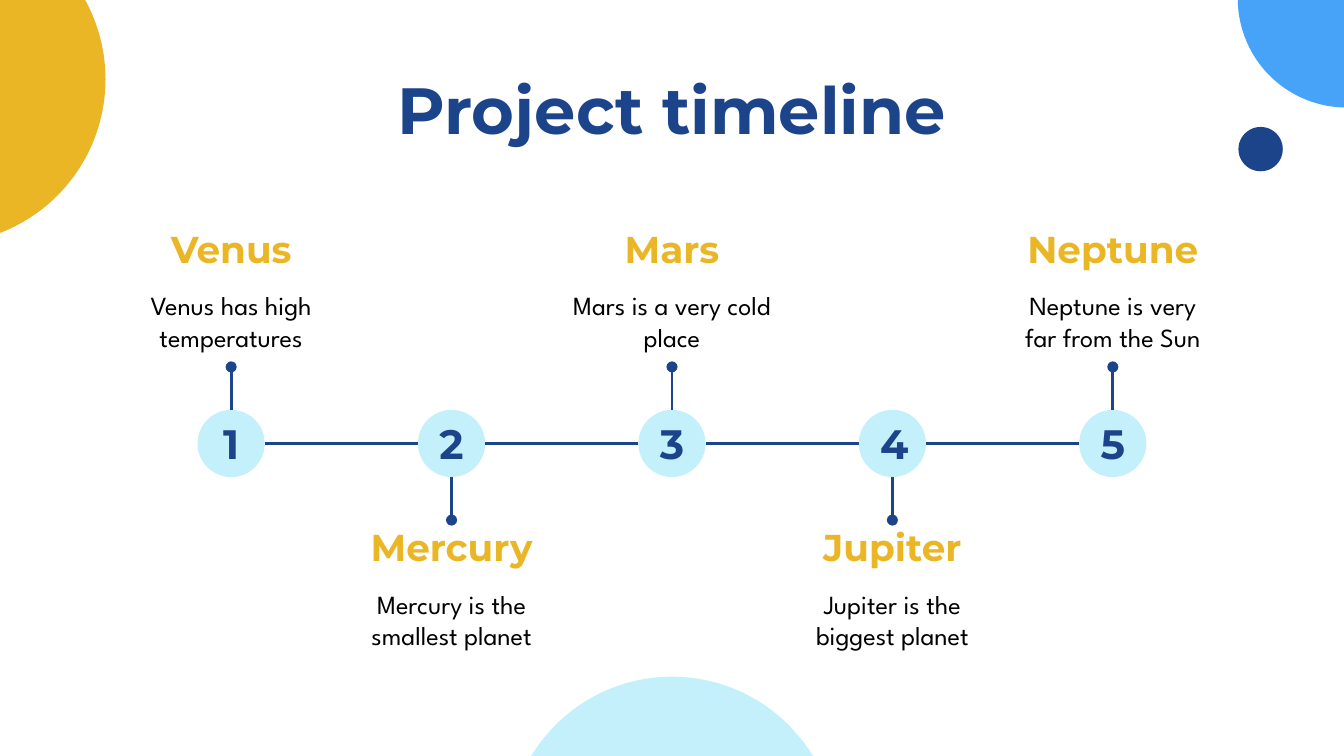
from lxml import etree
from pptx import Presentation
from pptx.dml.color import RGBColor
from pptx.enum.shapes import MSO_CONNECTOR, MSO_SHAPE
from pptx.enum.text import MSO_ANCHOR, PP_ALIGN
from pptx.oxml.ns import qn
from pptx.util import Inches, Pt

OVAL, PIE = MSO_SHAPE.OVAL, MSO_SHAPE.PIE
STRAIGHT = MSO_CONNECTOR.STRAIGHT
MIDDLE, CENTER = MSO_ANCHOR.MIDDLE, PP_ALIGN.CENTER

HEADING = "Project timeline"
MILESTONES = [
    ("Venus", "Venus has high temperatures"),
    ("Mercury", "Mercury is the smallest planet"),
    ("Mars", "Mars is a very cold place"),
    ("Jupiter", "Jupiter is the biggest planet"),
    ("Neptune", "Neptune is very far from the Sun"),
]
COLORS = {"navy": "1C448A", "gold": "EAB625", "sky": "47A3F7",
          "cyan": "4CD2F8", "black": "000000"}
DISPLAY, BODY = "Montserrat", "League Spartan"

WIDTH = 10
HEIGHT = WIDTH * 9 / 16
COLUMN = 1.64
AXIS = 3.3
RADIUS = 0.25
STEM = 0.32
LABEL_WIDTH, NAME_HEIGHT, FACT_HEIGHT = 1.68, 0.4, 0.68
NUMBER_WIDTH, NUMBER_HEIGHT = 0.38, 0.28
CYAN_OPACITY = 33

DECORATIONS = [
    (OVAL, WIDTH / 2, 6.26, 2.45, "cyan"),
    (PIE, 10.02, -0.01, 1.62, "sky"),
    (OVAL, -0.44, 0.59, 2.45, "gold"),
    (OVAL, 9.38, 1.11, 0.33, "navy"),
]

deck = Presentation()
deck.slide_width, deck.slide_height = Inches(WIDTH), Inches(HEIGHT)
slide = deck.slides.add_slide(deck.slide_layouts[6])


def rgb(name):
    return RGBColor.from_string(COLORS[name])


def add_disc(kind, x, y, size, color):
    disc = slide.shapes.add_shape(kind, Inches(x - size / 2), Inches(y - size / 2),
                                  Inches(size), Inches(size))
    disc.shadow.inherit = False
    disc.fill.solid()
    disc.fill.fore_color.rgb = rgb(color)
    disc.line.fill.background()
    if color == "cyan":
        tint = disc._element.spPr.find(qn("a:solidFill"))[0]
        etree.SubElement(tint, qn("a:alpha"), val=str(CYAN_OPACITY * 1000))
    if kind == PIE:
        disc.adjustments[0], disc.adjustments[1] = 54, 108


def add_line(x1, y1, x2, y2, dotted=False):
    line = slide.shapes.add_connector(STRAIGHT, Inches(x1), Inches(y1),
                                      Inches(x2), Inches(y2))
    line.line.color.rgb = rgb("navy")
    line.line.width = Pt(1.5)
    if dotted:
        outline = line._element.spPr.find(qn("a:ln"))
        etree.SubElement(outline, qn("a:tailEnd"), type="oval")
    etree.SubElement(line._element.spPr, qn("a:effectLst"))


def add_text(words, x, top, width, height, size, color, font=DISPLAY):
    box = slide.shapes.add_textbox(Inches(x - width / 2), Inches(top),
                                   Inches(width), Inches(height))
    frame = box.text_frame
    frame.word_wrap = True
    frame.vertical_anchor = MIDDLE
    frame.margin_left = frame.margin_right = Inches(0.1)
    frame.margin_top = frame.margin_bottom = Inches(0.1)
    paragraph = frame.paragraphs[0]
    paragraph.alignment = CENTER
    run = paragraph.add_run()
    run.text = words
    run.font.name = font
    run.font.size = Pt(size)
    run.font.bold = font == DISPLAY
    run.font.color.rgb = rgb(color)


for decoration in DECORATIONS:
    add_disc(*decoration)
add_text(HEADING, WIDTH / 2, 0.49, 8.43, 0.63, 35, "navy")

middle = (len(MILESTONES) - 1) / 2
for index, (planet, fact) in enumerate(MILESTONES):
    x = WIDTH / 2 + (index - middle) * COLUMN
    side = 1 if index % 2 else -1
    edge = AXIS + side * RADIUS
    tip = edge + side * STEM
    name_top = tip if side > 0 else tip - NAME_HEIGHT - FACT_HEIGHT

    add_disc(OVAL, x, AXIS, 2 * RADIUS, "cyan")
    add_line(x, edge, x, tip, dotted=True)
    if index < len(MILESTONES) - 1:
        add_line(x + RADIUS, AXIS, x + COLUMN - RADIUS, AXIS)
    add_text(planet, x, name_top, LABEL_WIDTH, NAME_HEIGHT, 20, "gold")
    add_text(fact, x, name_top + NAME_HEIGHT, LABEL_WIDTH, FACT_HEIGHT,
             14, "black", BODY)
    add_text(str(index + 1), x, AXIS - NUMBER_HEIGHT / 2,
             NUMBER_WIDTH, NUMBER_HEIGHT, 22, "navy")

deck.save("out.pptx")
